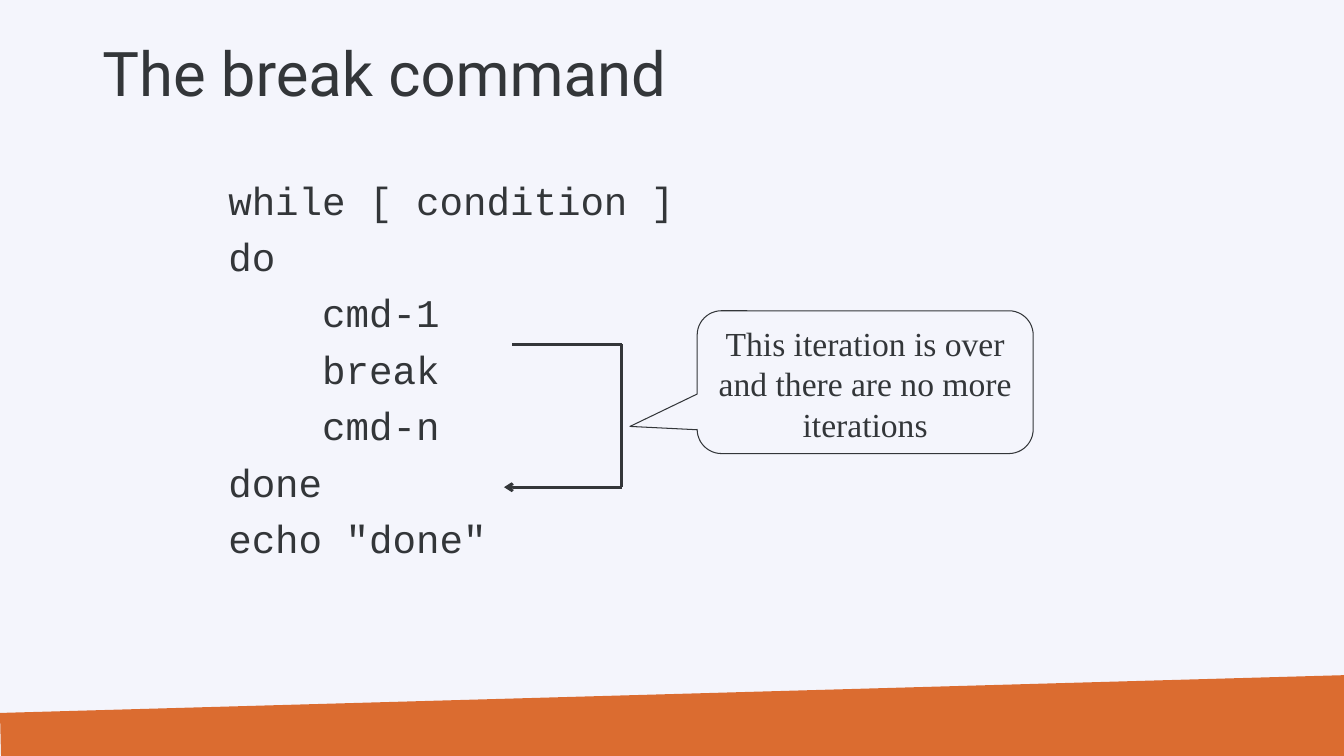
"""Builds a slide that explains the break command of a shell loop."""
import itertools

import pptx
import pptx.dml.color
import pptx.enum.shapes
import pptx.enum.text
import pptx.oxml
import pptx.oxml.ns
import pptx.util

COLORS = {"ground": "F4F5FC", "ink": "333639", "band": "DB6C30"}
PX = 9525
ALIGN = pptx.enum.text.PP_ALIGN
ANCHOR = pptx.enum.text.MSO_ANCHOR
CODE = [
    "while [ condition ]",
    "do",
    "    cmd-1",
    "    break",
    "    cmd-n",
    "done",
    'echo "done"',
]


def color(name):
    """Return the named colour."""
    return pptx.dml.color.RGBColor.from_string(COLORS[name])


def px(*lengths):
    """Turn pixels into EMU."""
    return [length * PX for length in lengths]


def element(tag, attributes=""):
    """Return an empty drawing element."""
    return pptx.oxml.parse_xml(f'<a:{tag} {pptx.oxml.ns.nsdecls("a")} {attributes}/>')


class LoopSlide:
    """Holds the style and the current slide."""

    def __init__(self, deck):
        """Add a title-only slide with a plain ground."""
        self.slide = deck.slides.add_slide(deck.slide_layouts[5])
        self.shapes = self.slide.shapes
        ground = self.slide.background.fill
        ground.solid()
        ground.fore_color.rgb = color("ground")

    def set_text(self, frame, lines, font, size, hanging=0, **formats):
        """Fill a text frame with one paragraph per line."""
        frame.word_wrap = True
        frame.auto_size = pptx.enum.text.MSO_AUTO_SIZE.NONE
        face = {"name": font, "size": pptx.util.Pt(size)}
        for index, line in enumerate(lines):
            paragraph = frame.add_paragraph() if index else frame.paragraphs[0]
            paragraph.text = line
            for name, value in formats.items():
                setattr(paragraph, name, value)
            if hanging:
                properties = paragraph._p.get_or_add_pPr()
                properties.set("marL", str(hanging * PX))
                properties.set("indent", str(-hanging * PX))
            for name, value in face.items():
                setattr(paragraph.font, name, value)
            paragraph.font.color.rgb = color("ink")
        frame.paragraphs[0].space_before = pptx.util.Pt(0)

    def band(self, points):
        """Draw the slanted band at the foot."""
        builder = self.shapes.build_freeform(*points[0], scale=PX)
        builder.add_line_segments(points[1:], close=True)
        footer = builder.convert_to_shape()
        footer.shadow.inherit = False
        footer.fill.solid()
        footer.fill.fore_color.rgb = color("band")
        footer.line.fill.background()

    def title(self, text, *box):
        """Place and format the title."""
        heading = self.shapes.title
        place = dict(zip(("left", "top", "width", "height"), px(*box)))
        for name, value in place.items():
            setattr(heading, name, value)
        heading.text_frame.vertical_anchor = ANCHOR.MIDDLE
        self.set_text(heading.text_frame, [text], "Roboto", 44,
                      alignment=ALIGN.LEFT, line_spacing=0.9)

    def code(self, lines, *box):
        """Add the code listing."""
        listing = self.shapes.add_textbox(*px(*box))
        self.set_text(listing.text_frame, lines, "Courier New", 28, hanging=24,
                      line_spacing=0.9, space_before=pptx.util.Pt(10))

    def jump(self, points):
        """Draw a grouped path of lines that ends in an arrowhead."""
        route = self.shapes.add_group_shape()
        for start, end in itertools.pairwise(points):
            leg = route.shapes.add_connector(
                pptx.enum.shapes.MSO_CONNECTOR.STRAIGHT, *px(*start, *end))
            leg.line.color.rgb = color("ink")
            leg.line.width = pptx.util.Pt(2)
            leg._element.spPr.append(element("effectLst"))
        leg.line._get_or_add_ln().append(element("tailEnd", 'type="arrow"'))

    def callout(self, text, adjustments, *box):
        """Draw a speech callout."""
        remark = self.shapes.add_shape(
            pptx.enum.shapes.MSO_SHAPE.ROUNDED_RECTANGULAR_CALLOUT, *px(*box))
        for index, value in enumerate(adjustments):
            remark.adjustments[index] = value
        remark.shadow.inherit = False
        remark.fill.background()
        remark.line.color.rgb = color("ink")
        remark.line.width = pptx.util.Pt(0.75)
        remark.text_frame.vertical_anchor = ANCHOR.TOP
        self.set_text(remark.text_frame, [text], "Times New Roman", 24,
                      alignment=ALIGN.CENTER)


def main():
    """Build and save the deck."""
    deck = pptx.Presentation()
    deck.slide_width, deck.slide_height = px(1280, 720)
    page = LoopSlide(deck)
    page.band([(0, 679), (1280, 643), (1280, 720), (1, 720)])
    page.title("The break command", 88, 3, 1104, 139)
    page.code(CODE, 208, 168, 784, 512)
    page.jump([(488, 328), (592, 328), (592, 464), (480, 464)])
    page.callout("This iteration is over and there are no more iterations",
                 (-0.7, 0.31, 0.17), 664, 296, 320, 136)
    deck.save("out.pptx")


if __name__ == "__main__":
    main()
